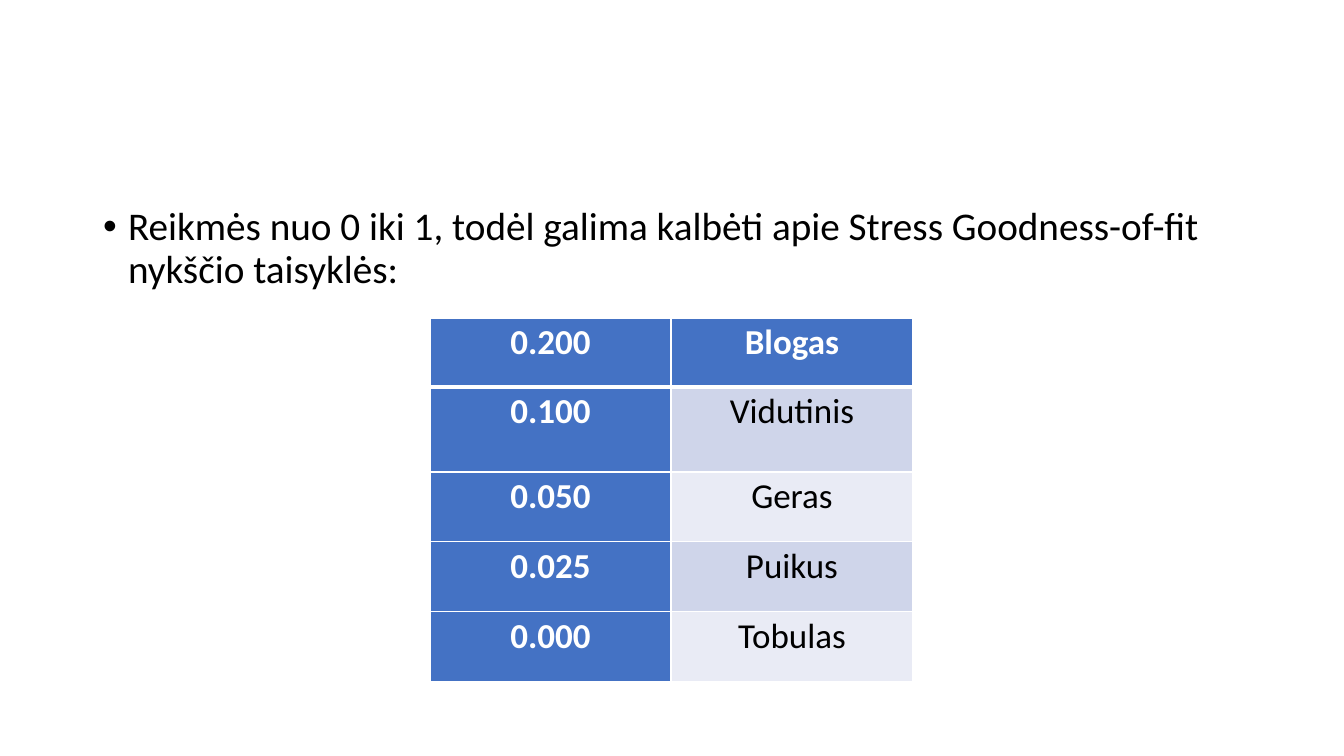
from lxml import etree
from pptx import Presentation
from pptx.dml.color import RGBColor
from pptx.enum.text import MSO_ANCHOR, PP_ALIGN
from pptx.oxml.ns import qn
from pptx.util import Pt

PX = 914400 / 100.8
WHITE = RGBColor(0xFF, 0xFF, 0xFF)
BLACK = RGBColor(0x00, 0x00, 0x00)
BLUE = RGBColor(0x44, 0x72, 0xC4)
BANDS = [RGBColor(0xE9, 0xEB, 0xF5), RGBColor(0xCF, 0xD5, 0xEA)]


def px(*lengths):
    return [round(length * PX) for length in lengths]


def add_border(cell, side, points):
    line = etree.SubElement(cell._tc.get_or_add_tcPr(), qn("a:" + side), w=str(Pt(points)))
    fill = etree.SubElement(line, qn("a:solidFill"))
    etree.SubElement(fill, qn("a:srgbClr"), val=str(WHITE))


prs = Presentation()
prs.slide_width, prs.slide_height = px(1344, 756)
slide = prs.slides.add_slide(prs.slide_layouts[1])

# The slide has no title
title = slide.shapes.title._element
title.getparent().remove(title)

# Bulleted statement
body = slide.placeholders[1]
body.left, body.top, body.width, body.height = px(93, 202, 1159, 480)
body.text_frame.vertical_anchor = MSO_ANCHOR.TOP
statement = body.text_frame.paragraphs[0]
statement.text = "Reikmės nuo 0 iki 1, todėl galima kalbėti apie Stress Goodness-of-fit nykščio taisyklės:"
statement.line_spacing = 0.9
statement.space_before = Pt(10)
statement.font.name = "Calibri"
statement.font.size = Pt(28)
statement.font.color.rgb = BLACK
props = statement._p.get_or_add_pPr()
indent = px(25)[0]
props.set("marL", str(indent))
props.set("indent", str(-indent))

# Stress rating table
ratings = [("0.200", "Blogas"), ("0.100", "Vidutinis"), ("0.050", "Geras"),
           ("0.025", "Puikus"), ("0.000", "Tobulas")]
table = slide.shapes.add_table(len(ratings), 2, *px(430, 318, 483, 364)).table
for column, width in zip(table.columns, px(241, 242)):
    column.width = width
for row, height in zip(table.rows, px(69, 85, 70, 70, 70)):
    row.height = height

for r, rating in enumerate(ratings):
    for c, text in enumerate(rating):
        cell = table.cell(r, c)
        strong = r == 0 or c == 0
        cell.margin_left, cell.margin_right = px(7, 7)
        cell.margin_top = cell.margin_bottom = 0

        # A thicker line parts the header from the rows below
        add_border(cell, "lnL", 1)
        add_border(cell, "lnR", 1)
        add_border(cell, "lnT", 3 if r == 1 else 1)
        add_border(cell, "lnB", 3 if r == 0 else 1)
        cell.fill.solid()
        cell.fill.fore_color.rgb = BLUE if strong else BANDS[r % 2]

        paragraph = cell.text_frame.paragraphs[0]
        paragraph.alignment = PP_ALIGN.CENTER
        paragraph.line_spacing = 1.07
        paragraph.space_after = Pt(8)
        run = paragraph.add_run()
        run.text = text
        run.font.name = "Calibri"
        run.font.size = Pt(25)
        run.font.bold = strong
        run.font.color.rgb = WHITE if strong else BLACK

prs.save("out.pptx")
